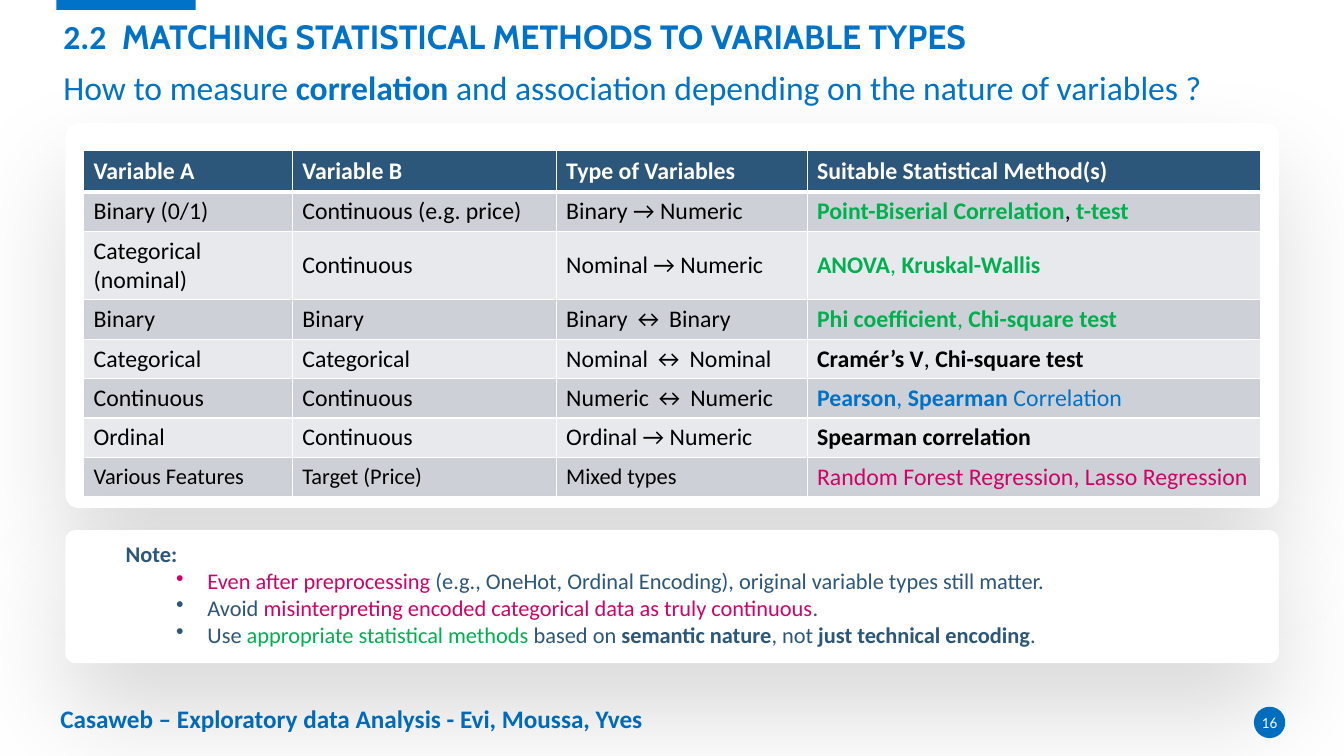
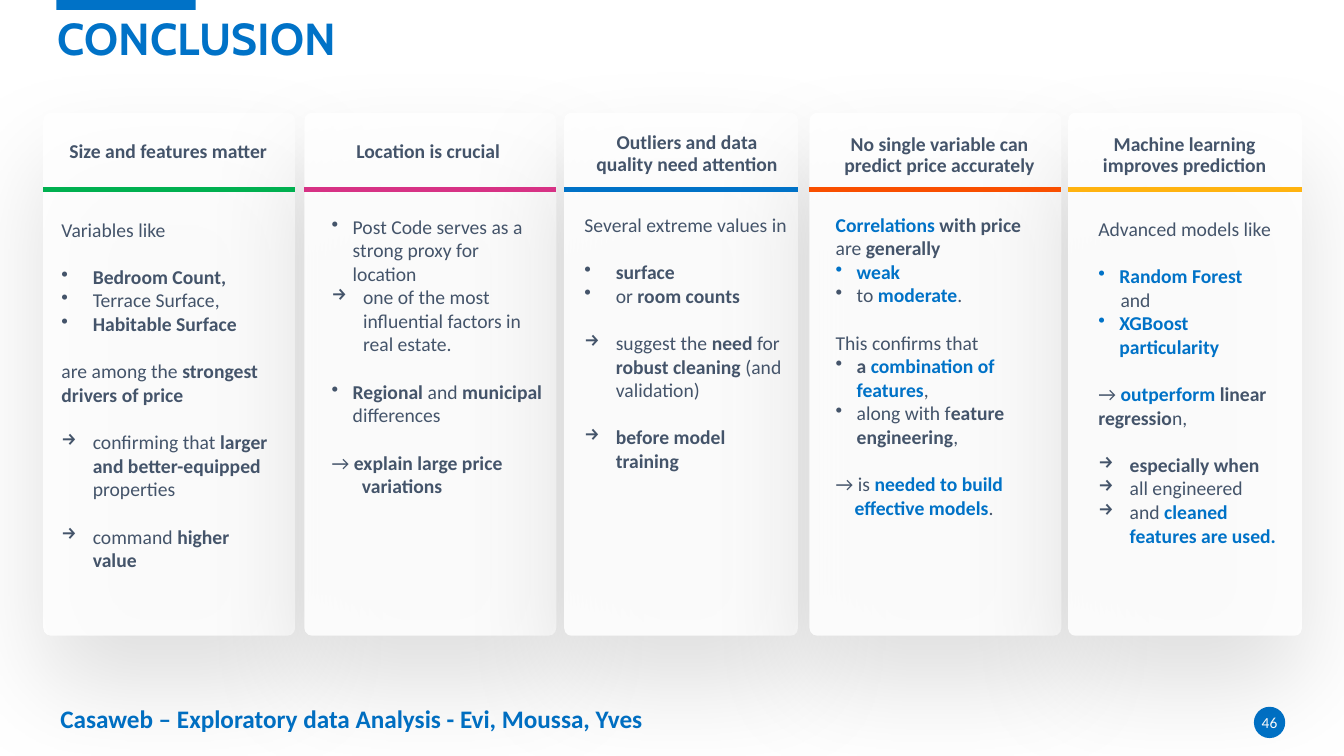
from dataclasses import dataclass
from functools import partial
from typing import Optional, Union

from lxml import etree
from pptx import Presentation
from pptx.dml.color import RGBColor
from pptx.enum.shapes import MSO_CONNECTOR, MSO_SHAPE
from pptx.enum.text import MSO_ANCHOR, MSO_AUTO_SIZE, PP_ALIGN
from pptx.oxml.ns import qn
from pptx.util import Cm, Pt

RECT, ROUND, OVAL = MSO_SHAPE.RECTANGLE, MSO_SHAPE.ROUNDED_RECTANGLE, MSO_SHAPE.OVAL
STRAIGHT = MSO_CONNECTOR.STRAIGHT
LEFT, CENTER = PP_ALIGN.LEFT, PP_ALIGN.CENTER
TOP, MIDDLE, BOTTOM = MSO_ANCHOR.TOP, MSO_ANCHOR.MIDDLE, MSO_ANCHOR.BOTTOM
FIXED = MSO_AUTO_SIZE.NONE

BLUE = RGBColor(0x00, 0x72, 0xC7)
NAVY = RGBColor(0x2C, 0x56, 0x7A)
SLATE = RGBColor(0x44, 0x54, 0x6A)
GREEN = RGBColor(0x00, 0xB0, 0x50)
PINK = RGBColor(0xCE, 0x03, 0x68)
ROSE = RGBColor(0xD7, 0x32, 0x85)
ORANGE = RGBColor(0xF9, 0x4F, 0x00)
AMBER = RGBColor(0xFF, 0xB3, 0x10)
DARK = RGBColor(0xCD, 0xD1, 0xD7)
LIGHT = RGBColor(0xE8, 0xE9, 0xEC)
BLACK = RGBColor(0, 0, 0)
WHITE = RGBColor(0xFF, 0xFF, 0xFF)

BODY, HEAD = "Calibri", "Cabin"
INSET = (0.25, 0.13, 0.25, 0.13)
SLIM = (0.1, 0.1, 0.1, 0.1)
NONE = (0, 0, 0, 0)
FOOTER = "Casaweb – Exploratory data Analysis - Evi, Moussa, Yves"


@dataclass(frozen=True)
class Run:
    text: str
    bold: Optional[bool] = None
    ink: Optional[RGBColor] = None
    font: Optional[str] = None


Piece = Union[str, Run]


@dataclass(frozen=True)
class Para:
    runs: tuple[Piece, ...]
    mark: str = ""
    left: float = 0
    hang: float = 0
    gap: float = 0
    tab: float = 0


@dataclass(frozen=True)
class Card:
    left: float
    width: float
    tint: RGBColor
    title: str
    head: tuple[float, float, float]
    body: tuple[float, float, float]
    paras: tuple[Para, ...]


bold = partial(Run, bold=True)
blue = partial(Run, bold=True, ink=BLUE)
green = partial(Run, bold=True, ink=GREEN)
pink = partial(Run, ink=PINK)


def line(*runs: Piece, left: float = 0, hang: float = 0, gap: float = 0) -> Para:
    return Para(runs, "", left, hang, gap)


def item(*runs: Piece, mark: str = "•", left: float = 0.79, hang: float = 0, gap: float = 0) -> Para:
    return Para(runs, mark, left, hang or left, gap)


dot = partial(item, left=0.53)
arrow = partial(item, mark="→")
note = partial(item, left=2.06, hang=0.79)
GAP = 17


def write(frame, paras, *, size: float, ink: RGBColor, font: str = BODY, bold: bool = False,
          align=LEFT, lead: float = 1.0, pad=INSET, anchor=TOP) -> None:
    frame.word_wrap = True
    frame.auto_size = FIXED
    frame.vertical_anchor = anchor
    frame.margin_left, frame.margin_top, frame.margin_right, frame.margin_bottom = map(Cm, pad)
    if isinstance(paras, str):
        paras = (line(paras),)
    for n, para in enumerate(paras):
        spot = frame.add_paragraph() if n else frame.paragraphs[0]
        props = spot._p.get_or_add_pPr()
        if para.left:
            props.set("marL", str(int(Cm(para.left))))
            props.set("indent", str(-int(Cm(para.hang))))
        if para.mark:
            etree.SubElement(props, qn("a:buChar")).set("char", para.mark)
        if para.tab:
            tabs = etree.SubElement(props, qn("a:tabLst"))
            etree.SubElement(tabs, qn("a:tab"), pos=str(int(Cm(para.tab))), algn="l")
        spot.alignment = align
        spot.line_spacing = lead
        spot.space_before = Pt(para.gap)
        spot.font.size = Pt(size)
        for piece in para.runs:
            part = Run(piece) if isinstance(piece, str) else piece
            run = spot.add_run()
            run.text = part.text
            run.font.size = Pt(size)
            run.font.name = part.font or font
            run.font.bold = bold if part.bold is None else part.bold
            run.font.color.rgb = part.ink or ink


def label(slide, box, paras, **style) -> None:
    write(slide.shapes.add_textbox(*map(Cm, box)).text_frame, paras, **style)


def block(slide, kind, box, fill: RGBColor):
    shape = slide.shapes.add_shape(kind, *map(Cm, box))
    shape.shadow.inherit = False
    shape.fill.solid()
    shape.fill.fore_color.rgb = fill
    shape.line.fill.background()
    return shape


def panel(slide, box, curve: float, alpha: int = 100) -> None:
    shape = block(slide, ROUND, box, WHITE)
    shape.adjustments[0] = curve
    props = shape._element.spPr
    if alpha < 100:
        etree.SubElement(props.find(".//" + qn("a:srgbClr")), qn("a:alpha"), val=str(alpha * 1000))
    shade = etree.SubElement(props.find(qn("a:effectLst")), qn("a:outerShdw"),
                             blurRad=str(int(Pt(75))), dist=str(int(Pt(35))),
                             dir="5400000", algn="t", rotWithShape="0")
    tint = etree.SubElement(shade, qn("a:srgbClr"), val=str(BLACK))
    etree.SubElement(tint, qn("a:alpha"), val="15000")


def rule(slide, left: float, top: float, width: float, ink: RGBColor) -> None:
    stroke = slide.shapes.add_connector(STRAIGHT, Cm(left), Cm(top), Cm(left + width), Cm(top))
    stroke.line.color.rgb = ink
    stroke.line.width = Pt(4)
    etree.SubElement(stroke._element.spPr, qn("a:effectLst"))


def start(deck, page: int, box, paras, **style):
    slide = deck.slides.add_slide(deck.slide_layouts[5])
    title = slide.shapes.title
    title.left, title.top, title.width, title.height = map(Cm, box)
    write(title.text_frame, paras, ink=BLUE, bold=True, font=HEAD, lead=0.9, **style)
    block(slide, RECT, (1.42, 0, 3.51, 0.25), BLUE)
    label(slide, (1.27, 17.6, 20.12, 1.02), FOOTER, size=18, ink=BLUE, bold=True)
    badge = block(slide, OVAL, (31.6, 17.81, 0.79, 0.79), BLUE)
    write(badge.text_frame, str(page), size=11, ink=WHITE, align=CENTER, pad=NONE, anchor=MIDDLE)
    return slide


def edge(cell, top: float, base: float) -> None:
    props = cell._tc.get_or_add_tcPr()
    for side, width in (("L", 1), ("R", 1), ("T", top), ("B", base)):
        ln = etree.SubElement(props, qn("a:ln" + side), w=str(int(Pt(width))))
        fill = etree.SubElement(ln, qn("a:solidFill"))
        etree.SubElement(fill, qn("a:srgbClr"), val=str(WHITE))


WIDTHS = (5.26, 6.65, 6.32, 11.43)
HEIGHTS = (1.05, 0.97, 1.69, 0.97, 0.97, 0.97, 0.97, 0.97)
ROWS = (
    ("Variable A", "Variable B", "Type of Variables", ("Suitable Statistical Method(s)",)),
    ("Binary (0/1)", "Continuous (e.g. price)", "Binary → Numeric",
     (green("Point-Biserial Correlation"), ", ", green("t-test"))),
    ("Categorical (nominal)", "Continuous", "Nominal → Numeric",
     (green("ANOVA"), green(", ", bold=False), green("Kruskal-Wallis"))),
    ("Binary", "Binary", "Binary ↔ Binary",
     (green("Phi coefficient"), green(", ", bold=False), green("Chi-square test"))),
    ("Categorical", "Categorical", "Nominal ↔ Nominal",
     (bold("Cramér’s V"), ", ", bold("Chi-square test"))),
    ("Continuous", "Continuous", "Numeric ↔ Numeric",
     (blue("Pearson"), blue(", ", bold=False), blue("Spearman"), blue(" Correlation", bold=False))),
    ("Ordinal", "Continuous", "Ordinal → Numeric", (bold("Spearman correlation"),)),
    ("Various Features", "Target (Price)", "Mixed types",
     (pink("Random Forest Regression, Lasso Regression"),)),
)
NOTES = (
    line(bold("Note:")),
    note(pink("Even after preprocessing "),
         "(e.g., OneHot, Ordinal Encoding), original variable types still matter."),
    note("Avoid ", pink("misinterpreting encoded categorical data as truly continuous"), "."),
    note("Use ", Run("appropriate statistical methods", ink=GREEN), " based on ",
         bold("semantic nature"), ", not ", bold("just technical encoding"), "."),
)
CARDS = (
    Card(1.09, 6.35, GREEN, "Size and features matter", (1.42, 3.48, 5.64), (1.45, 5.38, 5.61), (
        line("Variables like"),
        item(bold("Bedroom Count,"), gap=GAP),
        item("Terrace Surface,"),
        item(bold("Habitable Surface")),
        line("are among the ", bold("strongest drivers of price"), gap=GAP),
        arrow("confirming that ", bold("larger and better-equipped "), "properties", gap=GAP),
        arrow("command ", bold("higher value"), gap=GAP))),
    Card(7.67, 6.35, ROSE, "Location is crucial", (8.18, 3.48, 5.23), (8.26, 5.31, 5.61), (
        dot("Post Code serves as a strong proxy for location"),
        arrow("one of the most influential factors in real estate."),
        dot(bold("Regional"), " and ", bold("municipal"), " differences", gap=GAP),
        line("→ ", bold("explain large price variations"), left=0.76, hang=0.76, gap=GAP))),
    Card(14.22, 5.89, BLUE, "Outliers and data quality need attention",
         (14.71, 3.25, 5.21), (14.63, 5.26, 5.41), (
        line("Several extreme values in"),
        item(bold("surface"), gap=GAP),
        item("or ", bold("room counts")),
        arrow("suggest the ", bold("need"), " for ", bold("robust cleaning "),
              "(and validation)", gap=GAP),
        arrow(bold("before model training"), gap=GAP))),
    Card(20.4, 6.35, ORANGE, "No single variable can predict price accurately",
         (20.9, 3.28, 5.56), (20.96, 5.26, 5.31), (
        line(blue("Correlations"), bold(" with price "), "are ", bold("generally")),
        dot(blue("weak")),
        dot("to ", blue("moderate"), "."),
        line("This confirms that", gap=GAP),
        dot(bold("a "), blue("combination of features"), ","),
        dot("along with f", bold("eature engineering"), ","),
        line("→ is ", blue("needed to build effective models"), ".",
             left=0.48, hang=0.48, gap=GAP))),
    Card(26.92, 5.89, AMBER, "Machine learning improves prediction",
         (27.38, 3.28, 4.95), (27.58, 5.36, 5.08), (
        line("Advanced models like"),
        dot(blue("Random Forest"), gap=GAP),
        line("and", left=0.56),
        dot(blue("XGBoost particularity")),
        line("→ ", blue("outperform"), bold(" linear regressio"), "n,", gap=GAP),
        arrow(bold("especially when"), gap=GAP),
        arrow("all engineered"),
        arrow("and ", blue("cleaned features are used.")))),
)


def grid(slide) -> None:
    box = map(Cm, (2.11, 3.78, sum(WIDTHS), sum(HEIGHTS)))
    table = slide.shapes.add_table(len(ROWS), len(WIDTHS), *box).table
    for col, width in zip(table.columns, WIDTHS):
        col.width = Cm(width)
    for r, (row, height) in enumerate(zip(ROWS, HEIGHTS)):
        table.rows[r].height = Cm(height)
        for c, text in enumerate(row):
            cell = table.cell(r, c)
            edge(cell, 3 if r == 1 else 1, 1 if r else 3)
            cell.fill.solid()
            cell.fill.fore_color.rgb = (DARK if r % 2 else LIGHT) if r else NAVY
            small = r == len(ROWS) - 1 and c < 3
            paras = text if isinstance(text, str) else (line(*text),)
            cell.vertical_anchor = MIDDLE
            cell.margin_left = cell.margin_right = Cm(0.25)
            cell.margin_top = cell.margin_bottom = Cm(0.13)
            write(cell.text_frame, paras, size=16 if small else 17,
                  ink=BLACK if r else WHITE, bold=not r, anchor=MIDDLE)


def match(deck) -> None:
    title = Para((Run("2.2\t", font=BODY), "MATCHING STATISTICAL METHODS TO VARIABLE TYPES"), tab=1.47)
    slide = start(deck, 16, (1.35, 0.38, 31.19, 1.17), (title,), size=24, anchor=MIDDLE)
    panel(slide, (1.65, 3.1, 30.58, 9.7), 0.034)
    grid(slide)
    ask = line("How to measure ", bold("correlation"),
               " and association depending on the nature of variables ?")
    label(slide, (1.35, 1.55, 31.88, 1.27), (ask,), size=24, ink=BLUE)
    panel(slide, (1.65, 13.36, 30.58, 3.35), 0.076)
    label(slide, (2.92, 13.49, 28.83, 3), NOTES, size=16, ink=NAVY)


def close(deck) -> None:
    slide = start(deck, 46, (1.45, 0.61, 30.96, 1.04), "CONCLUSION",
                  size=32, pad=NONE, anchor=BOTTOM)
    for card in CARDS:
        panel(slide, (card.left, 2.84, card.width, 13.18), 0.031, 87)
    for card in CARDS:
        label(slide, (*card.head, 1.04), card.title, size=14, ink=SLATE, bold=True,
              align=CENTER, lead=0.9, pad=SLIM)
        rule(slide, card.left, 4.78, card.width, card.tint)
        label(slide, (*card.body, 9.4), card.paras, size=14, ink=SLATE, pad=SLIM)


def main() -> None:
    deck = Presentation()
    deck.slide_width, deck.slide_height = Cm(33.87), Cm(19.05)
    match(deck)
    close(deck)
    deck.save("out.pptx")


if __name__ == "__main__":
    main()
